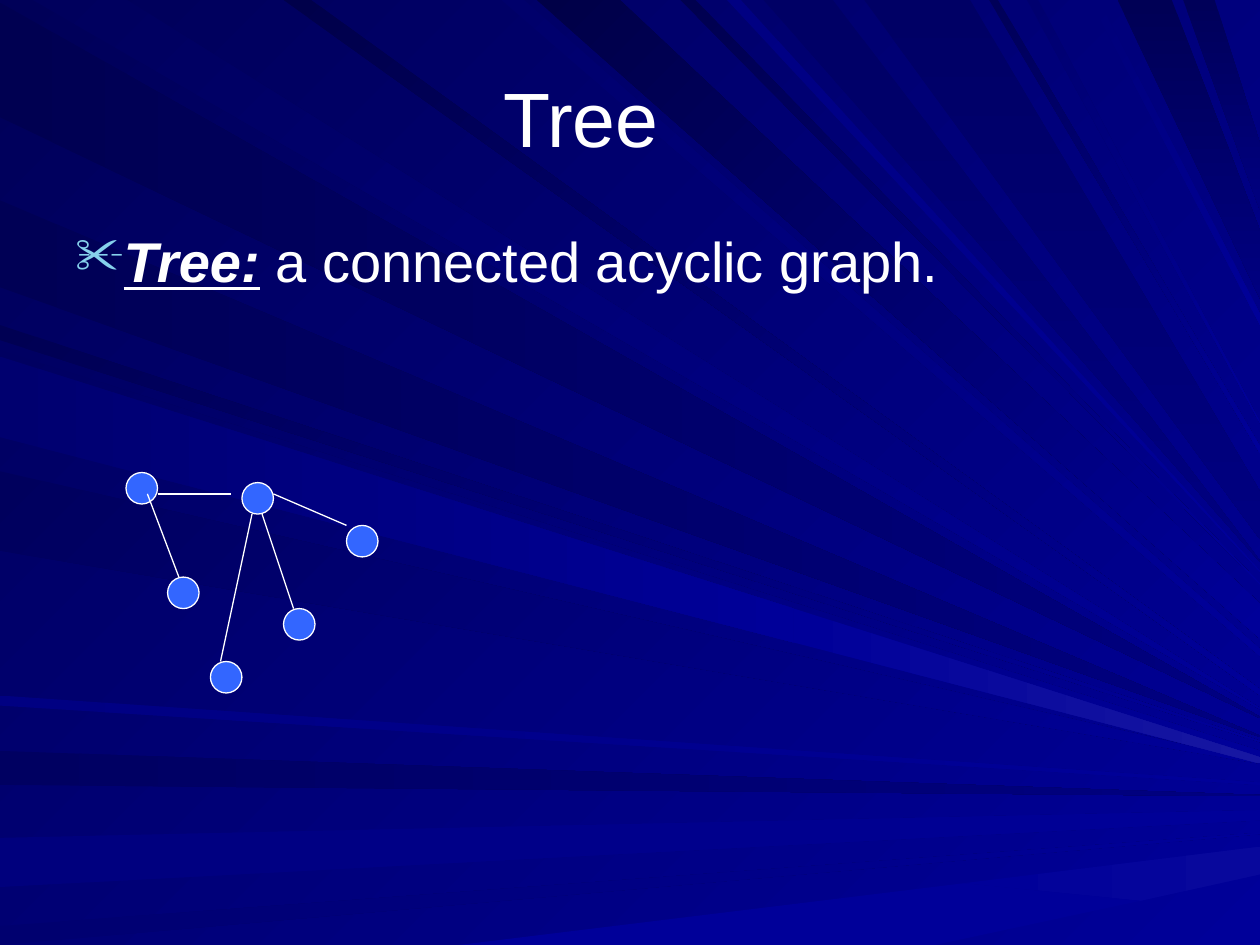
from dataclasses import dataclass

from lxml import etree
from pptx import Presentation
from pptx import util as u
from pptx.dml.color import RGBColor
from pptx.enum import shapes, text
from pptx.oxml.ns import qn

PX = 9144
WIDTH, HEIGHT = 1000, 750


@dataclass(frozen=True)
class Theme:
    """Colours, font and type sizes of the slide."""
    font: str = "Arial"
    ink: str = "FFFFFF"
    node: str = "3366FF"
    bullet: str = "86D1EC"
    night: str = "000058"
    dim: str = "000080"
    blue: str = "000099"
    glint: str = "1717A2"
    faint_glint: str = "08089C"
    title_size: int = 44
    body_size: int = 32
    hairline: float = 0.75


@dataclass(frozen=True)
class Ray:
    """A ray from two places on one edge to a tip on the right edge."""
    start: str
    near: int
    far: int
    tip: int
    spread: int = 1
    glint: str = ""


THEME = Theme()

FAMILIES = [
    ("left", THEME.dim, 0, [
        Ray("000051", 2, 93, 569), Ray("000061", 596, 623, 631), Ray("000055", 159, 228, 584)]),
    ("top", THEME.blue, 45, [
        Ray("00005D", 101, 26, 562), Ray("00006B", 416, 398, 515, 6),
        Ray("000047", 492, 426, 479, 28), Ray("00004F", 552, 540, 463)]),
    ("top", THEME.dim, 90, [
        Ray("000065", 661, 606, 445), Ray("000055", 930, 887, 183, 54),
        Ray("000059", 964, 939, 114, 53)]),
    ("left", THEME.blue, 45, [
        Ray("000053", 258, 270, 588), Ray("000061", 278, 342, 596, 6),
        Ray("00005D", 374, 437, 605)]),
    ("left", THEME.blue, 0, [
        Ray("00007D", 665, 704, 643, 8), Ray("00006F", 735, 750, 661),
        Ray("000082", 552, 560, 621, 2)]),
    ("bottom", THEME.blue, 0, [
        Ray(THEME.blue, 364, 742, 672, 22, THEME.faint_glint)]),
    ("top", THEME.dim, 90, [Ray("000065", 770, 686, 390, 38)]),
    ("top", THEME.blue, 45, [
        Ray("00004A", 247, 225, 547, 5), Ray("000082", 588, 577, 453),
        Ray("000058", 792, 785, 354, 6), Ray("00006F", 824, 815, 335),
        Ray("000079", 872, 865, 249, 9)]),
    ("left", THEME.blue, 0, [Ray("00006F", 283, 347, 601, 5, THEME.glint)]),
]

NODE_SIZE = 25
NODES = [(0, 0), (92, 8), (33, 83), (175, 42), (125, 108), (67, 150)]
EDGES = [
    ((25, 17), (83, 17)),
    ((17, 17), (42, 83)),
    ((108, 33), (133, 108)),
    ((100, 33), (75, 150)),
    ((117, 17), (175, 42)),
]


def px(length):
    """Turn px into EMU."""
    return u.Emu(length * PX)


def rgb(value):
    """Turn a hex string into a colour."""
    return RGBColor.from_string(value)


def apply(target, **values):
    """Set each named attribute on the target."""
    for name, value in values.items():
        setattr(target, name, value)


def paint(fill, start, end, angle=0):
    """Fill with one colour, or with a gradient turned clockwise by the angle."""
    if start == end:
        fill.solid()
        fill.fore_color.rgb = rgb(start)
        return
    fill.gradient()
    fill.gradient_angle = (360 - angle) % 360
    for stop, colour in zip(fill.gradient_stops, (start, end)):
        stop.color.rgb = rgb(colour)


def outline(line):
    """Give a line the hairline weight and ink colour."""
    line.width = u.Pt(THEME.hairline)
    line.color.rgb = rgb(THEME.ink)


def write(para, words, size, **style):
    """Add a styled run to a paragraph."""
    span = para.add_run()
    span.text = words
    apply(span.font, name=THEME.font, size=u.Pt(size), **style)
    span.font.color.rgb = rgb(THEME.ink)


def edge_point(side, place):
    """Give the point at a place along a side of the slide."""
    return {"left": (0, place), "top": (place, 0), "bottom": (place, HEIGHT)}[side]


def between(first, last, share=0.63):
    """Give the point that lies a share of the way from first to last."""
    return tuple(round(a + (b - a) * share) for a, b in zip(first, last))


def add_beam(group, left, top, points, start, end, angle):
    """Draw one outline filled with a gradient."""
    builder = group.shapes.build_freeform(*points[0], scale=PX)
    builder.add_line_segments(points[1:], close=True)
    beam = builder.convert_to_shape(px(left), px(top))
    beam.shadow.inherit = False
    beam.line.fill.background()
    paint(beam.fill, start, end, angle)


def add_beams(page, left, top):
    """Draw the rays of light behind the content."""
    group = page.shapes.add_group_shape()
    for side, end, angle, rays in FAMILIES:
        for ray in rays:
            near, far = edge_point(side, ray.near), edge_point(side, ray.far)
            upper, lower = (WIDTH, ray.tip), (WIDTH, ray.tip + ray.spread)
            if ray.glint:
                seam = between(near, upper), between(far, lower)
                add_beam(group, left, top, [*seam, lower, upper], end, ray.glint, angle)
                upper, lower = seam
            add_beam(group, left, top, [near, far, lower, upper], ray.start, end, angle)


def add_title(page, left, top, width, height):
    """Place the title, centred a little left of the middle, above the beams."""
    box = page.shapes.title
    page.shapes._spTree.append(box._element)
    apply(box, left=px(left), top=px(top), width=px(width), height=px(height))
    apply(box.text_frame, vertical_anchor=text.MSO_ANCHOR.MIDDLE,
          auto_size=text.MSO_AUTO_SIZE.NONE, margin_right=px(88))
    para = box.text_frame.paragraphs[0]
    para.alignment = text.PP_ALIGN.CENTER
    write(para, "Tree", THEME.title_size)


def add_bullet(para, indent):
    """Give a paragraph a hanging scissors bullet."""
    props = para._p.get_or_add_pPr()
    props.set("marL", str(px(indent)))
    props.set("indent", str(-px(indent)))
    colour = etree.SubElement(props, qn("a:buClr"))
    etree.SubElement(colour, qn("a:srgbClr"), val=THEME.bullet)
    etree.SubElement(props, qn("a:buSzPct"), val="90000")
    etree.SubElement(props, qn("a:buChar"), char="✂")


def add_definition(page, left, top, width, height):
    """Write the definition of a tree."""
    box = page.shapes.add_textbox(px(left), px(top), px(width), px(height))
    box.text_frame.word_wrap = True
    para = box.text_frame.paragraphs[0]
    add_bullet(para, 38)
    write(para, "Tree:", THEME.body_size, bold=True, italic=True, underline=True)
    write(para, " a connected acyclic graph.", THEME.body_size)


def add_graph(page, left, top):
    """Draw the example tree with its nodes and edges."""
    for x, y in NODES:
        node = page.shapes.add_shape(shapes.MSO_SHAPE.OVAL, px(left + x), px(top + y),
                                     px(NODE_SIZE), px(NODE_SIZE))
        node.shadow.inherit = False
        paint(node.fill, THEME.node, THEME.node)
        outline(node.line)
    for (x1, y1), (x2, y2) in EDGES:
        edge = page.shapes.add_connector(shapes.MSO_CONNECTOR.STRAIGHT, px(left + x1),
                                         px(top + y1), px(left + x2), px(top + y2))
        outline(edge.line)
        etree.SubElement(edge._element.spPr, qn("a:effectLst"))


def main():
    """Build the deck and save it."""
    deck = Presentation()
    apply(deck, slide_width=px(WIDTH), slide_height=px(HEIGHT))
    page = deck.slides.add_slide(deck.slide_layouts[5])
    paint(page.background.fill, THEME.night, THEME.blue, 45)
    add_beams(page, 0, 0)
    add_title(page, 50, 30, 900, 125)
    add_definition(page, 50, 175, 900, 495)
    add_graph(page, 100, 375)
    deck.save("out.pptx")


if __name__ == "__main__":
    main()
